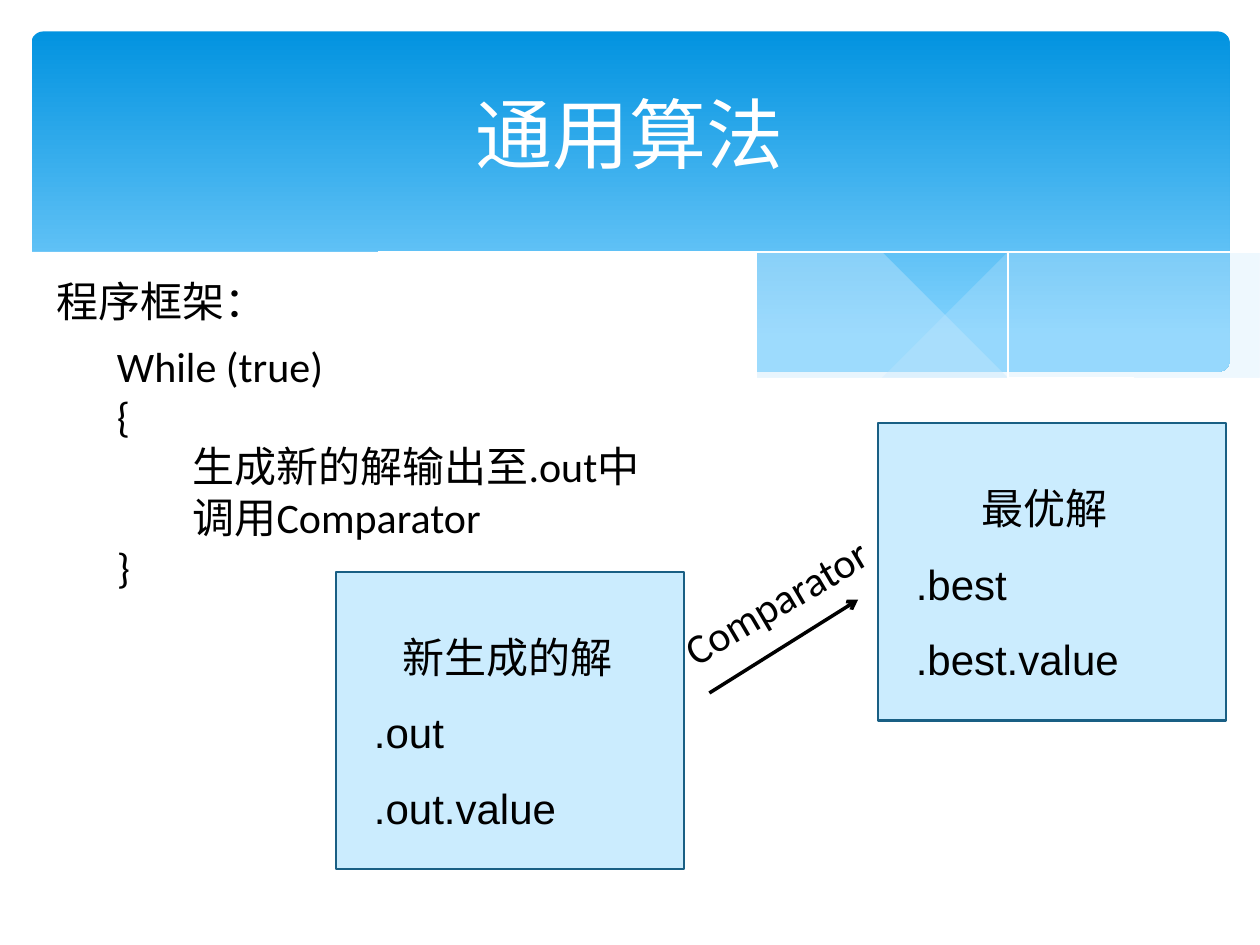
from pptx import Presentation
from pptx.dml.color import RGBColor
from pptx.enum.shapes import MSO_CONNECTOR as CONN, MSO_SHAPE as SHAPE
from pptx.enum.text import MSO_ANCHOR as ANCHOR, PP_ALIGN as ALIGN
from pptx.oxml.xmlchemy import OxmlElement as Element
from pptx.util import Inches, Pt

WHITE = RGBColor(0xFF, 0xFF, 0xFF)
BLACK = RGBColor(0, 0, 0)
SKY = RGBColor(0x02, 0x93, 0xE0)
PALE_SKY = RGBColor(0x83, 0xD3, 0xFE)
MIST = RGBColor(0xC6, 0xE7, 0xFC)
BOX_FILL = RGBColor(0x31, 0xB6, 0xFD)
BOX_LINE = RGBColor(0x19, 0x5F, 0x84)

WAVES = [
    dict(edges=[[(9.76, 2), (9.35, 2.07), (8.61, 2.23), (7.79, 2.42), (6.61, 2.65)],
                [(6.61, 2.65), (7.19, 2.72), (7.69, 2.77), (8.24, 2.77), (8.81, 2.73),
                 (9.28, 2.63), (9.76, 2.47)]], color=MIST, alpha=29),
    dict(edges=[[(8.93, 2.73), (8.07, 2.6), (7.06, 2.4), (6.29, 2.22), (5.55, 2.05),
                 (4.89, 1.94), (4.2, 1.87), (3.61, 1.85), (2.86, 1.91)],
                [(2.86, 1.91), (3.62, 2.03), (4.49, 2.22), (5.66, 2.48), (6.5, 2.64),
                 (7.22, 2.74), (7.85, 2.78), (8.38, 2.78), (8.93, 2.73)]],
         color=MIST, alpha=40),
    dict(edges=[[(3.09, 1.95), (3.53, 1.89), (4.16, 1.87), (4.89, 1.9), (5.82, 2),
                 (6.65, 2.13), (7.6, 2.33), (8.31, 2.51), (9.07, 2.72)]]),
    dict(edges=[[(6.13, 2.57), (6.95, 2.35), (7.76, 2.16), (8.66, 1.99), (9.24, 1.9),
                 (9.75, 1.85)]]),
    dict(edges=[[(0.23, 2.13), (0.52, 2.01), (1.06, 1.89), (1.77, 1.84), (2.5, 1.86),
                 (3.4, 1.97), (4.47, 2.2), (5.55, 2.45), (6.48, 2.62), (7.26, 2.72),
                 (8.09, 2.77), (8.75, 2.73), (9.3, 2.62), (9.77, 2.46)],
                [(9.77, 3.29), (0.23, 3.29)]], color=WHITE, alpha=100),
]
TITLE = "通用算法"
HEADING = "程序框架："
CODE = [("While (true)", 0), ("{", 0), ("生成新的解输出至.out中", 0.6),
        ("调用Comparator", 0.6), ("}", 0)]
SOLUTIONS = [
    (6.97, 3.36, [("最优解", 0.52), (".best", 0), (".best.value", 0)]),
    (2.67, 4.54, [("新生成的解", 0.23), (".out", 0), (".out.value", 0)]),
]
BOX_W, BOX_H, PAD_X, PAD_Y = 2.76, 2.36, 0.2, 0.22

prs = Presentation()
prs.slide_width, prs.slide_height = Inches(10), Inches(7.5)
s = prs.slides.add_slide(prs.slide_layouts[6])


def smooth(knots, steps=6):
    if len(knots) < 3:
        return knots
    pts = [knots[0], *knots, knots[-1]]
    curve = []
    for a, b, c, d in zip(pts, pts[1:], pts[2:], pts[3:]):
        for t in (i / steps for i in range(steps)):
            curve.append(tuple(
                (2 * q + (r - p) * t + (2 * p - 5 * q + 4 * r - u) * t ** 2
                 + (3 * q - p - 3 * r + u) * t ** 3) / 2
                for p, q, r, u in zip(a, b, c, d)))
    return curve + [knots[-1]]


def fill(shape, color, alpha=100):
    shape.shadow.inherit = False
    shape.fill.solid()
    shape.fill.fore_color.rgb = color
    if alpha < 100:
        node = Element("a:alpha")
        node.set("val", str(alpha * 1000))
        shape.fill._xPr.find(".//{*}srgbClr").append(node)


def wave(edges, color=None, alpha=100):
    points = [pt for edge in edges for pt in smooth(edge)]
    builder = s.shapes.build_freeform(*points[0], scale=Inches(1))
    builder.add_line_segments(points[1:], close=color is not None)
    sp = builder.convert_to_shape()
    if color is not None:
        fill(sp, color, alpha)
        sp.line.fill.background()
    else:
        sp.shadow.inherit = False
        sp.fill.background()
        sp.line.color.rgb = WHITE
        sp.line.width = 0


def text(x, y, w, h, lines, font="Arial", size=24, color=BLACK, rotation=0,
         anchor=ANCHOR.TOP, wrap=True, **paragraph):
    sp = s.shapes.add_textbox(*map(Inches, (x, y, w, h)))
    sp.rotation = rotation
    tf = sp.text_frame
    tf.word_wrap, tf.vertical_anchor = wrap, anchor
    for i, (line, indent) in enumerate(lines):
        p = tf.paragraphs[0] if i == 0 else tf.add_paragraph()
        for name, value in paragraph.items():
            setattr(p, name, value)
        if indent:
            p._p.get_or_add_pPr().set("marL", str(Inches(indent)))
        r = p.add_run()
        r.text = line
        for name, value in dict(name=font, size=Pt(size)).items():
            setattr(r.font, name, value)
        r.font.color.rgb = color


banner = s.shapes.add_shape(SHAPE.ROUNDED_RECTANGLE, *map(Inches, (0.25, 0.25, 9.51, 2.7)))
banner.adjustments[0] = 0.034
banner.shadow.inherit = False
banner.line.fill.background()
banner.fill.gradient()
banner.fill.gradient_angle = 270
for stop, color, position in zip(banner.fill.gradient_stops, (SKY, PALE_SKY), (0, 0.9)):
    stop.color.rgb, stop.position = color, position

for item in WAVES:
    wave(**item)

text(0.5, 0.37, 9, 1.37, [(TITLE, 0)], "Calibri", 44, WHITE,
     anchor=ANCHOR.MIDDLE, alignment=ALIGN.CENTER)
text(0.35, 1.94, 2.52, 0.71, [(HEADING, 0)], line_spacing=1.5)

for x, y, lines in SOLUTIONS:
    box = s.shapes.add_shape(SHAPE.RECTANGLE, *map(Inches, (x, y, BOX_W, BOX_H)))
    fill(box, BOX_FILL, 25)
    box.line.color.rgb, box.line.width = BOX_LINE, Pt(1.25)
    text(x + PAD_X, y + PAD_Y, BOX_W - 2 * PAD_X, BOX_H - 2 * PAD_Y, lines,
         line_spacing=1.5)

arrow = s.shapes.add_connector(CONN.STRAIGHT, *map(Inches, (5.63, 5.5, 6.81, 4.76)))
arrow.line.color.rgb, arrow.line.width = BLACK, Pt(2)
tail = Element("a:tailEnd")
tail.set("type", "arrow")
arrow.line._get_or_add_ln().append(tail)
arrow._element.spPr.append(Element("a:effectLst"))

text(5.24, 4.48, 1.97, 0.5, [("Comparator", 0)], "Calibri", rotation=329.5, wrap=False)
text(0.83, 2.65, 5.04, 2.12, CODE, "Calibri")

prs.save("out.pptx")
